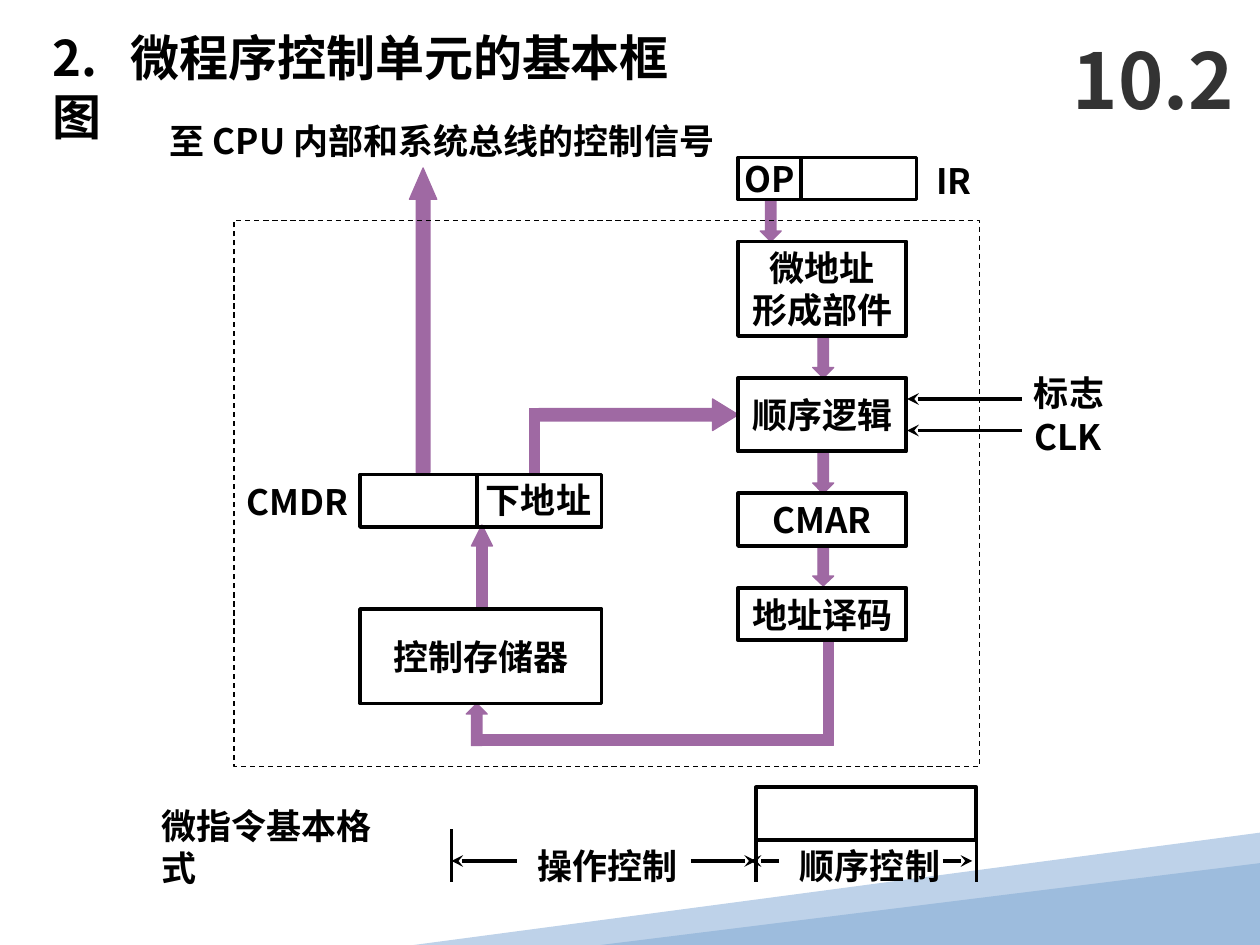
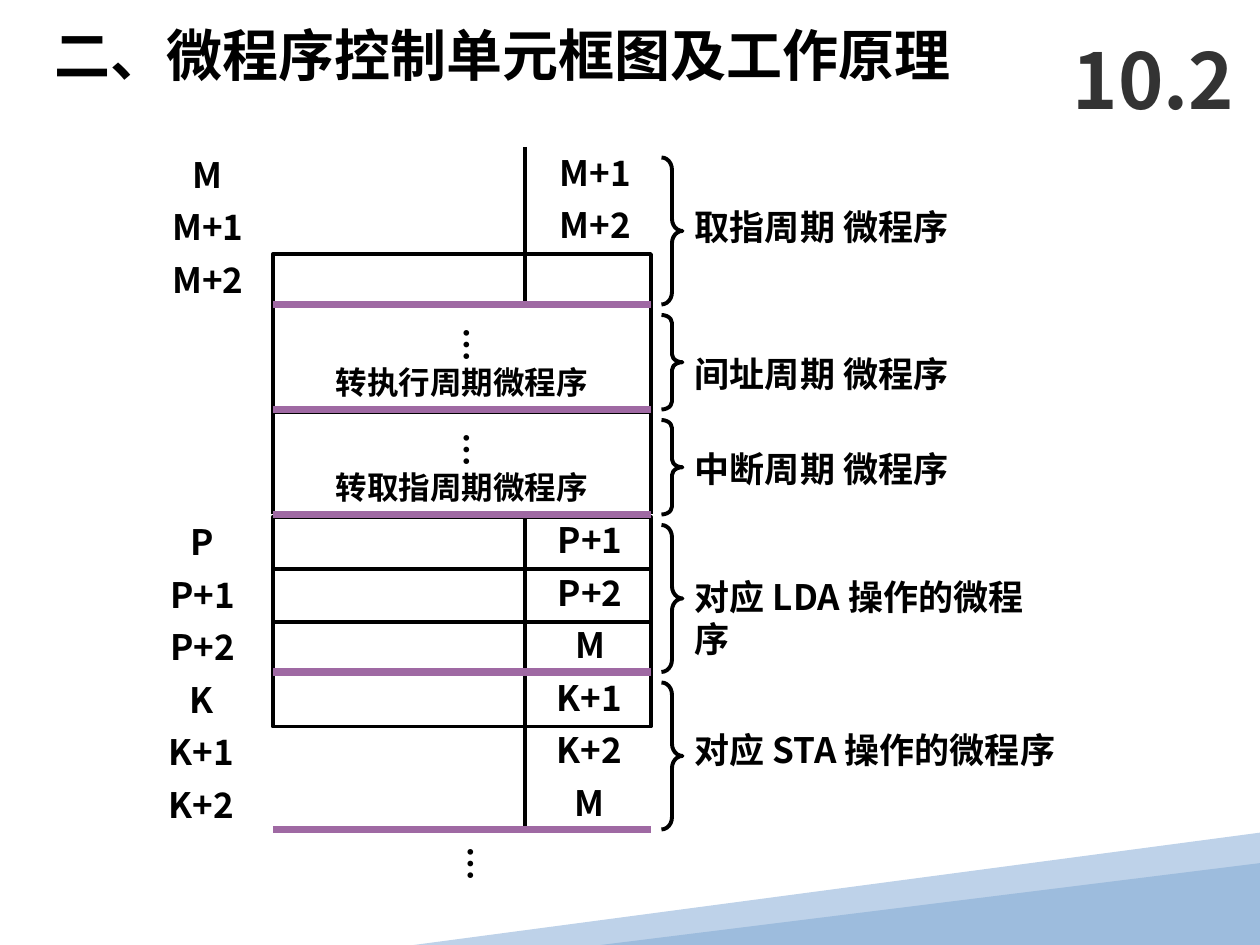
from dataclasses import dataclass

from lxml import etree
from pptx import Presentation
from pptx.dml.color import RGBColor
from pptx.enum.dml import MSO_LINE
from pptx.enum.shapes import MSO_CONNECTOR, MSO_SHAPE
from pptx.enum.text import MSO_ANCHOR, MSO_AUTO_SIZE, PP_ALIGN
from pptx.oxml.ns import qn
from pptx.util import Inches, Pt

RECT, TRIANGLE = MSO_SHAPE.RECTANGLE, MSO_SHAPE.ISOSCELES_TRIANGLE
UP, DOWN, RIGHT = MSO_SHAPE.UP_ARROW, MSO_SHAPE.DOWN_ARROW, MSO_SHAPE.RIGHT_ARROW
BRACE, STRAIGHT = MSO_SHAPE.RIGHT_BRACE, MSO_CONNECTOR.STRAIGHT
DASH = MSO_LINE.DASH
TOP, MIDDLE = MSO_ANCHOR.TOP, MSO_ANCHOR.MIDDLE
LEFT, CENTER = PP_ALIGN.LEFT, PP_ALIGN.CENTER
NO_AUTOFIT = MSO_AUTO_SIZE.NONE

# The slide is a grid of 120 columns by 90 rows
WIDTH, HEIGHT = Inches(10), Inches(7.5)
CELL = WIDTH / 120
TITLE_ONLY = 5


@dataclass(frozen=True)
class Theme:
    font: str = "Noto Sans CJK SC"
    ink: RGBColor = RGBColor(0, 0, 0)
    chapter: RGBColor = RGBColor(0x33, 0x33, 0x33)
    flow: RGBColor = RGBColor(0x9F, 0x69, 0xA3)
    pale_band: RGBColor = RGBColor(0xBE, 0xD2, 0xE9)
    deep_band: RGBColor = RGBColor(0x9D, 0xBC, 0xDD)
    body: int = 20
    note: int = 18
    chapter_size: int = 44
    hairline: float = 0.75
    stroke: float = 2.25
    divider: float = 4.5


THEME = Theme()


@dataclass(frozen=True)
class Area:
    col: float
    row: float
    cols: float
    rows: float = 5.3

    def emu(self) -> tuple[int, ...]:
        return tuple(round(n * CELL) for n in (self.col, self.row, self.cols, self.rows))


@dataclass(frozen=True)
class Unit:
    area: Area
    lines: tuple[str, ...] = ()


@dataclass(frozen=True)
class Flow:
    kind: int
    area: Area
    adjust: tuple[float, ...] = ()


@dataclass(frozen=True)
class Label:
    text: str
    area: Area
    wrap: bool = False


@dataclass(frozen=True)
class Segment:
    start: tuple[float, float]
    end: tuple[float, float]
    arrow: bool = False


@dataclass(frozen=True)
class Routine:
    name: str
    row: float
    rows: float
    name_row: float
    center: float = 0
    addresses: tuple[str, ...] = ()
    successors: tuple[str, ...] = ()
    jump: str = ""


# Drawing helpers
def write(frame, lines: tuple[str, ...], size: int = THEME.body, color: RGBColor = THEME.ink,
          align: int = LEFT, anchor: int = TOP, wrap: bool = False) -> None:
    frame.auto_size = NO_AUTOFIT
    frame.word_wrap, frame.vertical_anchor = wrap, anchor
    frame.margin_left = frame.margin_right = Inches(0.1)
    frame.margin_top = frame.margin_bottom = Inches(0.05)
    for index, line in enumerate(lines):
        paragraph = frame.add_paragraph() if index else frame.paragraphs[0]
        paragraph.alignment = align
        run = paragraph.add_run()
        run.text = line
        font = run.font
        font.name, font.size, font.bold = THEME.font, Pt(size), True
        font.color.rgb = color
        east_asian = etree.SubElement(run._r.get_or_add_rPr(), qn("a:ea"))
        east_asian.set("typeface", THEME.font)


def add_label(slide, label: Label, size: int = THEME.body, color: RGBColor = THEME.ink,
              align: int = LEFT, anchor: int = TOP):
    frame = slide.shapes.add_textbox(*label.area.emu()).text_frame
    write(frame, (label.text,), size, color, align, anchor, label.wrap)
    return frame


def add_ellipsis(slide, col: float, row: float) -> None:
    frame = add_label(slide, Label("…", Area(col, row, 6.5, 4.6)))
    frame._txBody.bodyPr.set("vert", "eaVert")


def paint(shape, fill: RGBColor | None = None, line: RGBColor | None = None,
          width: float = THEME.stroke) -> None:
    shape.shadow.inherit = False
    if fill is None:
        shape.fill.background()
    else:
        shape.fill.solid()
        shape.fill.fore_color.rgb = fill
    if line is None:
        shape.line.fill.background()
    else:
        shape.line.color.rgb = line
        shape.line.width = Pt(width)


def add_unit(slide, unit: Unit):
    box = slide.shapes.add_shape(RECT, *unit.area.emu())
    paint(box, line=THEME.ink)
    if unit.lines:
        write(box.text_frame, unit.lines, align=CENTER, anchor=MIDDLE)
    return box


def add_flow(slide, flow: Flow) -> None:
    shape = slide.shapes.add_shape(flow.kind, *flow.area.emu())
    for index, value in enumerate(flow.adjust):
        shape.adjustments[index] = value
    paint(shape, THEME.flow, THEME.flow, THEME.hairline)


def add_segment(slide, segment: Segment, color: RGBColor = THEME.ink,
                width: float = THEME.stroke) -> None:
    ends = [round(n * CELL) for n in segment.start + segment.end]
    line = slide.shapes.add_connector(STRAIGHT, *ends)
    line.line.color.rgb = color
    line.line.width = Pt(width)
    if segment.arrow:
        etree.SubElement(line.line._get_or_add_ln(), qn("a:tailEnd")).set("type", "stealth")
    etree.SubElement(line._element.spPr, qn("a:effectLst"))


def start_slide(deck, title: str, area: Area, size: int, tab: float = 0):
    slide = deck.slides.add_slide(deck.slide_layouts[TITLE_ONLY])
    # Corner bands
    outline = [(120, 79.3), (120, 89.3), (80.8, 90), (39.4, 90)]
    points = [(round(x * CELL), round(y * CELL)) for x, y in outline]
    builder = slide.shapes.build_freeform(*points[0])
    builder.add_line_segments(points[1:], close=True)
    paint(builder.convert_to_shape(), THEME.pale_band)
    wedge = slide.shapes.add_shape(TRIANGLE, *Area(57.2, 82.2, 62.8, 7.8).emu())
    wedge.adjustments[0] = 1
    paint(wedge, THEME.deep_band)
    # Title and chapter number
    heading = slide.shapes.title
    heading.left, heading.top, heading.width, heading.height = area.emu()
    write(heading.text_frame, (title,), size, wrap=True)
    if tab:
        properties = heading.text_frame.paragraphs[0]._p.get_or_add_pPr()
        stops = etree.SubElement(properties, qn("a:tabLst"))
        etree.SubElement(stops, qn("a:tab"), pos=str(Inches(tab)), algn="l")
    add_label(slide, Label("10.2", Area(101, 2, 19, 11), True), THEME.chapter_size,
              THEME.chapter, anchor=MIDDLE)
    return slide


# Block diagram of the control unit
MAIN, STORE = 70.3, 34.3
UNITS = (
    Unit(Area(MAIN, 23, 16, 9), ("微地址", "形成部件")),
    Unit(Area(MAIN, 36, 16, 7), ("顺序逻辑",)),
    Unit(Area(MAIN, 47, 16, 5), ("CMAR",)),
    Unit(Area(MAIN, 56, 16, 5), ("地址译码",)),
    Unit(Area(STORE, 58, 23, 9), ("控制存储器",)),
    Unit(Area(STORE, 45.2, 23, 5)),
    Unit(Area(MAIN, 15, 6, 4), ("OP",)),
    Unit(Area(MAIN + 6, 15, 11, 4)),
    Unit(Area(72, 75, 21, 5)),
)
FLOWS = (
    Flow(DOWN, Area(72.4, 19, 2, 4)),
    Flow(DOWN, Area(77.4, 32, 2, 4)),
    Flow(DOWN, Area(77.4, 43, 2, 4)),
    Flow(DOWN, Area(77.4, 52.1, 2, 3.7), (0.5, 0.47)),
    Flow(UP, Area(44.9, 50, 2, 8), (0.5, 1)),
    Flow(RIGHT, Area(51.3, 38, 19, 3), (0.39, 0.81)),
    Flow(RECT, Area(50.4, 38.9, 1, 6.2)),
    Flow(RECT, Area(78.4, 61, 1, 10)),
    Flow(UP, Area(44.4, 67, 2, 4)),
    Flow(RECT, Area(45.4, 70, 33, 1)),
    Flow(UP, Area(39, 16, 2.6, 29), (0.5, 1.15)),
)
LABELS = (
    Label("标志", Area(97.3, 34.8, 9.1)),
    Label("CLK", Area(97.3, 39, 9)),
    Label("下地址", Area(45.1, 45, 12.4)),
    Label("CMDR", Area(22.3, 45.2, 12.6)),
    Label("至 CPU 内部和系统总线的控制信号", Area(15, 10.8, 60), True),
    Label("IR", Area(88, 14.6, 10), True),
    Label("操作控制", Area(50, 79.8, 15.7)),
    Label("顺序控制", Area(75, 79.8, 15.7)),
    Label("微指令基本格式", Area(14.2, 76, 25), True),
)
FIELD_ENDS = (43, 72, 93)
FIELD_ARROWS = ((65.8, 72), (49.2, 43), (89.8, 92.6), (74.2, 71.4))


def draw_block_diagram(deck) -> None:
    slide = start_slide(deck, "2.\t微程序控制单元的基本框图", Area(3.8, 2, 65, 6.8), 28, 0.62)
    for flow in FLOWS:
        add_flow(slide, flow)
    boundary = add_unit(slide, Unit(Area(22.3, 21, 71, 52)))
    boundary.line.width = Pt(THEME.hairline)
    boundary.line.dash_style = DASH
    for unit in UNITS:
        add_unit(slide, unit)
    # Inputs, register divider and field dimensions
    segments = [Segment((97.3, row), (86.4, row), True) for row in (38, 41)]
    segments.append(Segment((45.4, 45.2), (45.4, 50.2)))
    segments += [Segment((col, 79), (col, 84)) for col in FIELD_ENDS]
    segments += [Segment((start, 82), (end, 82), True) for start, end in FIELD_ARROWS]
    for segment in segments:
        add_segment(slide, segment)
    for label in LABELS:
        add_label(slide, label)


# Microprogram map of the control store
STEP, NUDGE = 5, 0.2
STORE_LEFT, STORE_SPLIT, STORE_RIGHT = 26, 50, 62
ADDRESS_TO_NEXT = 36.9
ROUTINES = (
    Routine("取指周期 微程序", 14, 15, 19, 19.8, ("M", "M+1", "M+2"), ("M+1", "M+2")),
    Routine("间址周期 微程序", 29, 10, 33, jump="转执行周期微程序"),
    Routine("中断周期 微程序", 39, 10, 42, jump="转取指周期微程序"),
    Routine("对应 LDA 操作的微程序", 49, 15, 54.2, 19.3, ("P", "P+1", "P+2"), ("P+1", "P+2", "M")),
    Routine("对应 STA 操作的微程序", 64, 15, 68.8, 19.2, ("K", "K+1", "K+2"), ("K+1", "K+2", "M")),
)


def draw_address_column(slide, texts: tuple[str, ...], center: float, row: float) -> None:
    for index, text in enumerate(texts):
        area = Area(center - 5, row + STEP * index, 10)
        add_label(slide, Label(text, area), align=CENTER)


def draw_routine(slide, routine: Routine) -> None:
    draw_address_column(slide, routine.addresses, routine.center, routine.row)
    draw_address_column(slide, routine.successors, routine.center + ADDRESS_TO_NEXT,
                        routine.row - NUDGE)
    if routine.jump:
        area = Area(STORE_LEFT, routine.row + STEP, STORE_RIGHT - STORE_LEFT, 4.8)
        add_label(slide, Label(routine.jump, area, True), THEME.note, align=CENTER)
        add_ellipsis(slide, 40.6, routine.row + 1)
    # Brace and name
    span = routine.rows - 1
    brace = slide.shapes.add_shape(BRACE, *Area(63, routine.row + 1, 2, span).emu())
    brace.adjustments[0] = span / 24
    paint(brace, line=THEME.ink)
    wrap = len(routine.name) > 10
    add_label(slide, Label(routine.name, Area(65, routine.name_row, 37 if wrap else 26.8), wrap))


def draw_store_map(deck) -> None:
    slide = start_slide(deck, "二、微程序控制单元框图及工作原理", Area(4, 1.4, 96, 7.7), 32)
    # Store cells and their outlines
    for row in (24, 49, 54, 59, 64):
        add_unit(slide, Unit(Area(STORE_LEFT, row + NUDGE, STORE_RIGHT - STORE_LEFT, STEP)))
    for segment in (
        Segment((STORE_LEFT, 29), (STORE_LEFT, 49)),
        Segment((STORE_RIGHT, 29), (STORE_RIGHT, 49)),
        Segment((STORE_LEFT, 39 + NUDGE), (STORE_RIGHT, 39 + NUDGE)),
        Segment((STORE_SPLIT, 14), (STORE_SPLIT, 29)),
        Segment((STORE_SPLIT, 49), (STORE_SPLIT, 79)),
    ):
        add_segment(slide, segment)
    # Routines, each closed by a divider
    for routine in ROUTINES:
        end = routine.row + routine.rows
        add_segment(slide, Segment((STORE_LEFT, end), (STORE_RIGHT, end)),
                    THEME.flow, THEME.divider)
        draw_routine(slide, routine)
    add_ellipsis(slide, 41, 79.4)


def main() -> None:
    deck = Presentation()
    deck.slide_width, deck.slide_height = WIDTH, HEIGHT
    draw_block_diagram(deck)
    draw_store_map(deck)
    deck.save("out.pptx")


if __name__ == "__main__":
    main()
